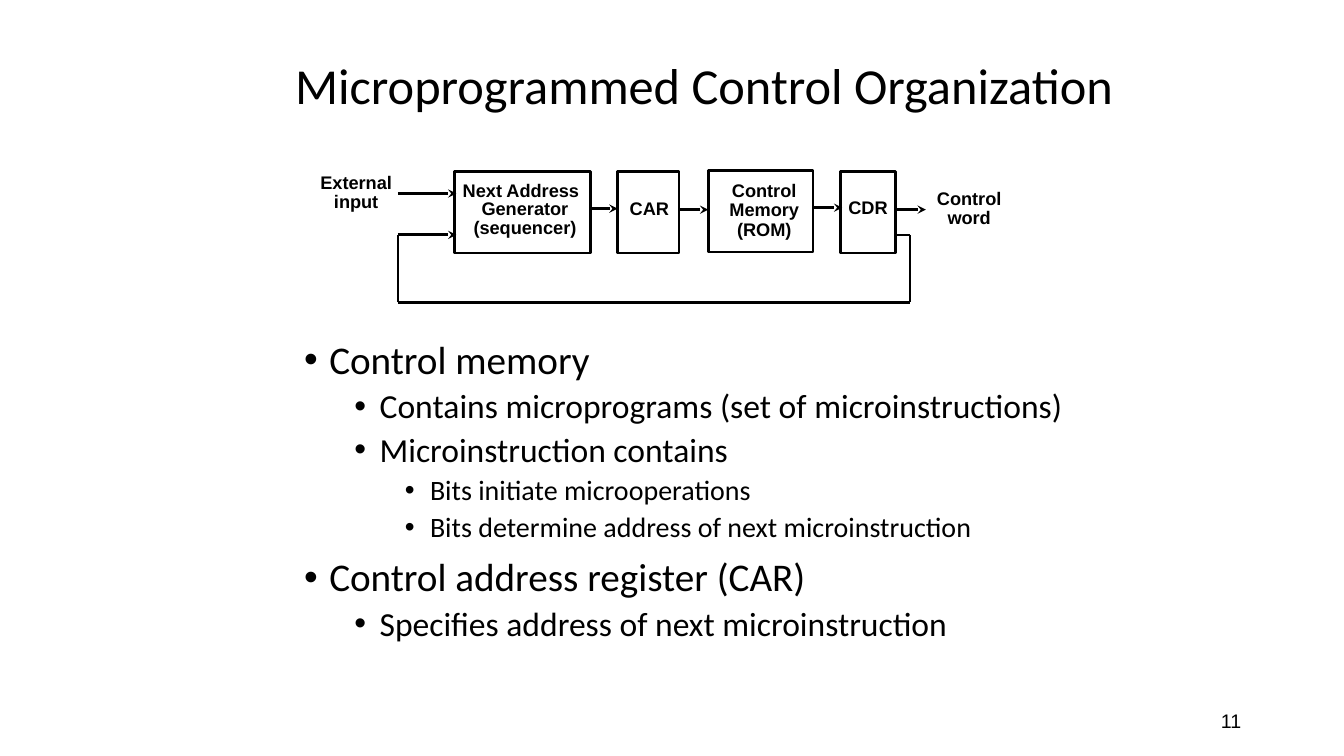
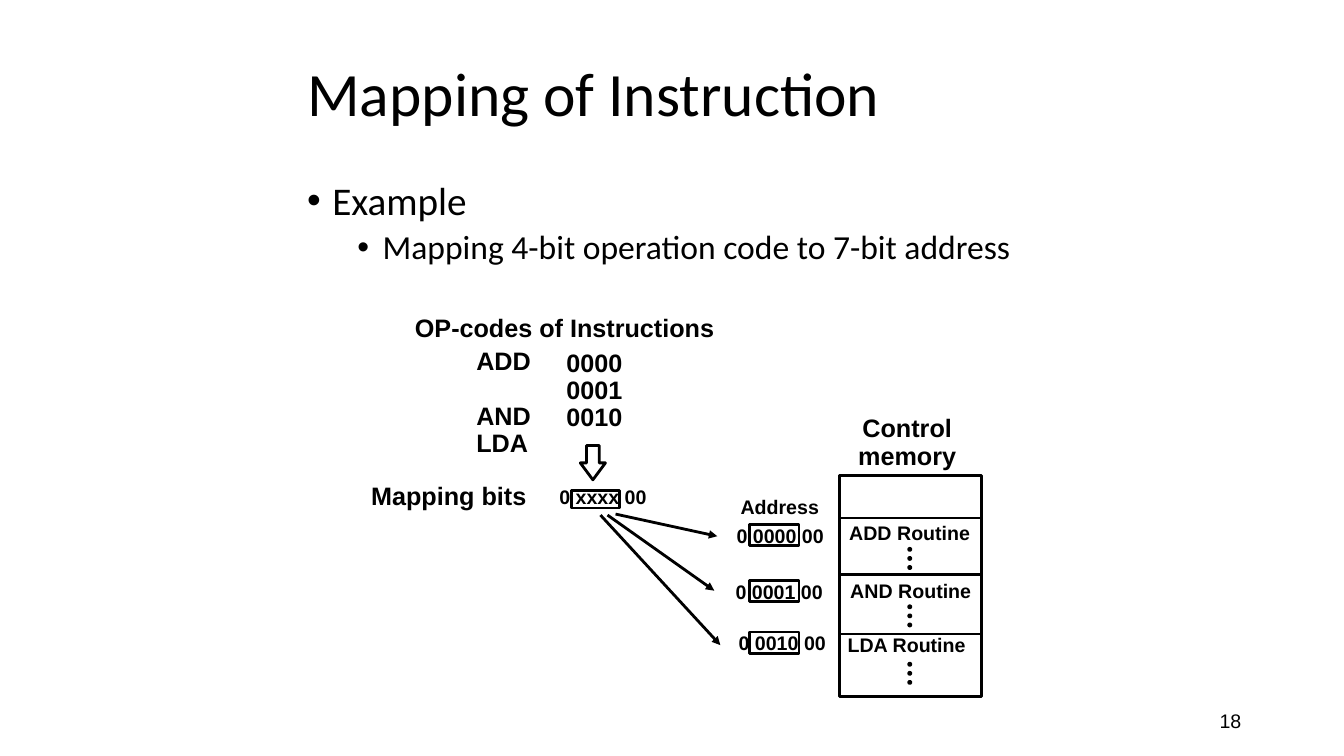
from itertools import pairwise

from lxml.etree import SubElement
from pptx import Presentation
from pptx.dml.color import RGBColor
from pptx.enum.shapes import MSO_CONNECTOR, MSO_SHAPE
from pptx.enum.text import MSO_ANCHOR, MSO_AUTO_SIZE, PP_ALIGN
from pptx.oxml.ns import qn
from pptx.util import Pt

PX = 9144  # 100 px to the inch
BLACK = RGBColor(0, 0, 0)
WHITE = RGBColor(255, 255, 255)
HEAD, BODY = "Calibri", "Arial"
LEFT, CENTER, RIGHT = PP_ALIGN.LEFT, PP_ALIGN.CENTER, PP_ALIGN.RIGHT
LEVELS = [(28, 10), (24, 5), (20, 5)]  # size and space before, by level


def emu(*nums):
    return [round(n * PX) for n in nums]


def style(para, size, face, bold=False, align=LEFT, space=0.9):
    para.alignment = align
    para.line_spacing = space
    font = para.font
    font.name, font.size, font.bold = face, Pt(size), bold
    font.color.rgb = BLACK


# Basic parts
def label(slide, box, lines, size=13, align=CENTER):
    frame = slide.shapes.add_textbox(*emu(*box)).text_frame
    frame.word_wrap = False
    frame.auto_size = MSO_AUTO_SIZE.SHAPE_TO_FIT_TEXT
    frame.text = lines
    for para in frame.paragraphs:
        style(para, size, BODY, True, align)
    return frame


def block(slide, box, kind=MSO_SHAPE.RECTANGLE, fill=None):
    shape = slide.shapes.add_shape(kind, *emu(*box))
    shape.shadow.inherit = False
    if fill is None:
        shape.fill.background()
    else:
        shape.fill.solid()
        shape.fill.fore_color.rgb = fill
    shape.line.color.rgb = BLACK
    shape.line.width = Pt(2)
    return shape


def link(slide, start, end, tip=None, width=2):
    line = slide.shapes.add_connector(MSO_CONNECTOR.STRAIGHT, *emu(*start, *end))
    line.line.color.rgb = BLACK
    line.line.width = Pt(width)
    if tip:
        SubElement(line._element.spPr.find(qn("a:ln")), qn("a:tailEnd"), type=tip)
    SubElement(line._element.spPr, qn("a:effectLst"))


# Parts that both slides share
def add_page(deck, title, box, size, number):
    slide = deck.slides.add_slide(deck.slide_layouts[5])
    head = slide.shapes.title
    head.left, head.top, head.width, head.height = emu(*box)
    head.text_frame.text = title
    head.text_frame.vertical_anchor = MSO_ANCHOR.MIDDLE
    style(head.text_frame.paragraphs[0], size, HEAD)

    foot = slide.shapes.add_textbox(*emu(942, 695, 300, 40)).text_frame
    foot.word_wrap = True
    foot.vertical_anchor = MSO_ANCHOR.MIDDLE
    foot.text = number
    style(foot.paragraphs[0], 14, BODY, align=RIGHT, space=1)
    return slide


def add_list(slide, box, items):
    frame = slide.shapes.add_textbox(*emu(*box)).text_frame
    frame.word_wrap = True
    frame.text = "\n".join(text for _, text in items)
    for i, (para, (level, _)) in enumerate(zip(frame.paragraphs, items)):
        size, gap = LEVELS[level]
        para.level = level
        para.space_before = Pt(gap if i else 0)
        props = para._p.get_or_add_pPr()
        props.set("marL", str(25 * PX + level * 50 * PX))
        props.set("indent", str(-25 * PX))
        SubElement(props, qn("a:buFont"), typeface=BODY)
        SubElement(props, qn("a:buChar"), char="•")
        style(para, size, HEAD)


# Flow from the sequencer to the control word, with its feedback loop
def add_flow(slide, x, y):
    for left, top, width in [(151, 10, 135), (313, 10, 61), (403, 9, 104), (534, 10, 55)]:
        block(slide, (x + left, y + top, width, 81), fill=WHITE)

    for left, top, width, height, text in [
        (8, 7, 91, 49, "External\ninput"),
        (149, 15, 136, 29, "Next Address"),
        (160, 33, 122, 49, "Generator\n(sequencer)"),
        (315, 33, 59, 29, "CAR"),
        (414, 15, 89, 68, "Control\nMemory\n(ROM)"),
        (532, 32, 59, 29, "CDR"),
        (620, 23, 84, 49, "Control\nword"),
    ]:
        label(slide, (x + left, y + top, width, height), text)

    for start, end, top in [(95, 153, 32), (286, 313, 47), (373, 403, 48),
                            (507, 536, 46), (590, 619, 48)]:
        link(slide, (x + start, y + top), (x + end, y + top), "stealth")

    loop = [(590, 73), (603, 73), (603, 140), (95, 140), (95, 73), (153, 73)]
    spots = [(x + a, y + b) for a, b in loop]
    widths = [1.5, 1.5, 2, 1.5, 2]
    tips = [None] * 4 + ["stealth"]
    for (start, end), width, tip in zip(pairwise(spots), widths, tips):
        link(slide, start, end, tip, width)


# Operation codes and the bits they map to
def add_codes(slide, x, y):
    label(slide, (x + 52, y + 8, 317, 37), "OP-codes of Instructions", 18)
    names = label(slide, (x + 113, y + 41, 74, 118), "ADD\nAND\nLDA", 18, LEFT)
    names.paragraphs[1].space_before = Pt(20)
    label(slide, (x + 190, y + 43, 100, 91), "0000\n0001\n0010", 18)
    arrow = block(slide, (x + 226, y + 142, 25, 34), MSO_SHAPE.DOWN_ARROW)
    arrow.adjustments[1] = 0.67
    label(slide, (x + 1, y + 175, 189, 37), "Mapping bits", 18)
    label(slide, (x + 195, y + 179, 107, 31), "0 xxxx 00", 14)
    block(slide, (x + 217, y + 187, 48, 17))
    for a, b, c, d in [(261, 210, 362, 232), (253, 211, 359, 286), (246, 211, 365, 340)]:
        link(slide, (x + a, y + b), (x + c, y + d), "triangle")


# Control memory column with the address of each routine
def add_memory(slide, x, y):
    label(slide, (x + 122, y + 8, 117, 64), "Control\nmemory", 18)
    label(slide, (x + 5, y + 89, 98, 31), "Address", 14)
    block(slide, (x + 113, y + 72, 141, 219))
    rows = [  # name, bits, left and top of the bits, rule, left and top of the name
        ("ADD", "0000", 1, 117, 114, 113, 114),
        ("AND", "0001", 0, 173, 170, 114, 172),
        ("LDA", "0010", 3, 224, 229, 110, 226),
    ]
    for i, (name, bits, left, top, rule, side, head) in enumerate(rows):
        label(slide, (x + left, y + top, 107, 31), f"0 {bits} 00", 14)
        block(slide, (x + 24, y + top + 3, 49, 21))
        link(slide, (x + 113, y + rule), (x + 253, y + rule))
        label(slide, (x + side, y + head, 140, 31), f"{name} Routine", 14)
        for j in range(3):
            dot = (x + 182, y + 144 + 57 * i + 9 * j, 2, 2)
            block(slide, dot, MSO_SHAPE.OVAL, BLACK)


def main():
    deck = Presentation()
    deck.slide_width, deck.slide_height = emu(1334, 750)

    slide = add_page(deck, "Microprogrammed Control Organization",
                     (283, 25, 850, 125), 36, "11")
    add_list(slide, (292, 333, 850, 342), [
        (0, "Control memory"),
        (1, "Contains microprograms (set of microinstructions)"),
        (1, "Microinstruction contains"),
        (2, "Bits initiate microoperations"),
        (2, "Bits determine address of next microinstruction"),
        (0, "Control address register (CAR)"),
        (1, "Specifies address of next microinstruction"),
    ])
    add_flow(slide, 300, 160)

    slide = add_page(deck, "Mapping of Instruction", (295, 33, 850, 125), 44, "18")
    add_list(slide, (295, 175, 850, 450), [
        (0, "Example"),
        (1, "Mapping 4-bit operation code to 7-bit address"),
    ])
    add_codes(slide, 350, 300)
    add_memory(slide, 720, 400)

    deck.save("out.pptx")


if __name__ == "__main__":
    main()
